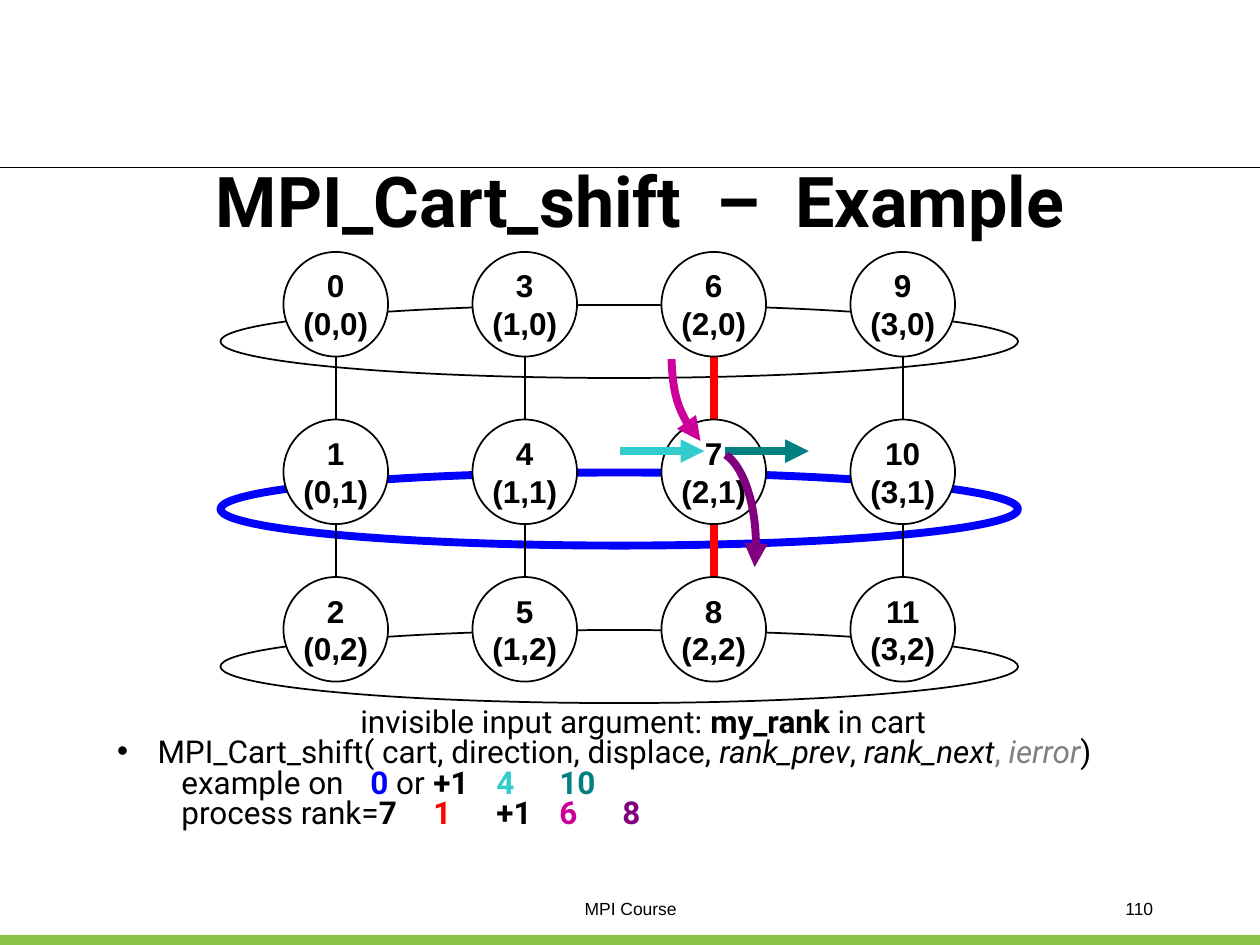
from lxml.etree import SubElement
from pptx import Presentation
from pptx.dml.color import RGBColor
from pptx.enum.shapes import MSO_CONNECTOR, MSO_SHAPE
from pptx.enum.text import MSO_ANCHOR, MSO_AUTO_SIZE, PP_ALIGN
from pptx.oxml.ns import qn
from pptx.util import Inches, Pt

BLACK = RGBColor(0x00, 0x00, 0x00)
WHITE = RGBColor(0xFF, 0xFF, 0xFF)
GREY = RGBColor(0x80, 0x80, 0x80)
GREEN = RGBColor(0x89, 0xC4, 0x48)
BLUE = RGBColor(0x00, 0x00, 0xFF)
RED = RGBColor(0xFF, 0x00, 0x00)
AQUA = RGBColor(0x33, 0xCC, 0xCC)
TEAL = RGBColor(0x00, 0x80, 0x80)
PINK = RGBColor(0xCC, 0x00, 0x99)
PURPLE = RGBColor(0x80, 0x00, 0x80)

THIN, THICK = 1, 4.5
NODE_SIZE = 0.83
COLUMN_STEP = 1.5
ROW_OFFSETS = (0, 1.33, 2.58)
COLUMN_COUNT = 4
SHIFTED_COLUMN, SHIFTED_ROW = 2, 1


def style_run(run, size, font="Roboto", color=BLACK, bold=False, italic=False):
    run.font.size = Pt(size)
    run.font.name = font
    run.font.color.rgb = color
    run.font.bold = bold
    run.font.italic = italic


def style_line(line, color, width, arrow=False):
    line.color.rgb = color
    line.width = Pt(width)
    if arrow:
        SubElement(line._get_or_add_ln(), qn("a:tailEnd"), type="triangle")


def place(shape, left, top, width, height):
    shape.left, shape.top = Inches(left), Inches(top)
    shape.width, shape.height = Inches(width), Inches(height)


def add_line(slide, x1, y1, x2, y2, color, width, arrow=False):
    line = slide.shapes.add_connector(
        MSO_CONNECTOR.STRAIGHT, Inches(x1), Inches(y1), Inches(x2), Inches(y2))
    style_line(line.line, color, width, arrow)
    SubElement(line._element.spPr, qn("a:effectLst"))


def add_ellipse(slide, left, top, width, height, color, line_width):
    ellipse = slide.shapes.add_shape(
        MSO_SHAPE.OVAL, Inches(left), Inches(top), Inches(width), Inches(height))
    ellipse.shadow.inherit = False
    ellipse.fill.background()
    style_line(ellipse.line, color, line_width)
    return ellipse


def add_curved_arrow(slide, points, color):
    """Draw a start point followed by Bezier triples, with a head at the end."""
    corners = [(Inches(x), Inches(y)) for x, y in points]
    builder = slide.shapes.build_freeform(*corners[0], scale=1.0)
    builder.add_line_segments(corners[1:], close=False)
    arrow = builder.convert_to_shape()
    outline = arrow._element.find(".//" + qn("a:path"))
    segments = outline.findall(qn("a:lnTo"))
    for first in range(0, len(segments), 3):
        curve = SubElement(outline, qn("a:cubicBezTo"))
        for segment in segments[first:first + 3]:
            curve.append(segment[0])
            outline.remove(segment)
    arrow.shadow.inherit = False
    arrow.fill.background()
    style_line(arrow.line, color, THICK, arrow=True)


def add_frame(slide, width, height):
    # Rule under the header and bar at the foot
    add_line(slide, 0, 1.33, width, 1.33, BLACK, 0.75)
    bar = slide.shapes.add_shape(
        MSO_SHAPE.RECTANGLE, 0, Inches(height - 0.08), Inches(width), Inches(0.08))
    bar.shadow.inherit = False
    bar.fill.solid()
    bar.fill.fore_color.rgb = GREEN
    bar.line.fill.background()

    # Course name and page number
    for text, left, box_width, alignment in (
            ("MPI Course", 3.17, 3.67, PP_ALIGN.CENTER),
            ("110", 7.17, 2.08, PP_ALIGN.RIGHT)):
        footer = slide.shapes.add_textbox(
            Inches(left), Inches(7.08), Inches(box_width), Inches(0.25))
        footer.text_frame.word_wrap = True
        paragraph = footer.text_frame.paragraphs[0]
        paragraph.text = text
        paragraph.alignment = alignment
        style_run(paragraph.runs[0], 10, "Arial")


def add_title(slide, left, top, width, height):
    title = slide.shapes.title
    place(title, left, top, width, height)
    title.text_frame.text = "MPI_Cart_shift  –  Example"
    title.text_frame.auto_size = MSO_AUTO_SIZE.NONE
    title.text_frame.vertical_anchor = MSO_ANCHOR.MIDDLE
    paragraph = title.text_frame.paragraphs[0]
    paragraph.alignment = PP_ALIGN.CENTER
    style_run(paragraph.runs[0], 40, bold=True)


def add_process_grid(slide, left, top):
    # Rings that close each row; the middle one is the shift in direction 0
    for row in (1, 0, 2):
        color, width = (BLUE, THICK) if row == SHIFTED_ROW else (BLACK, THIN)
        add_ellipse(slide, left - 0.5, top + ROW_OFFSETS[row] + 0.42,
                    6.33, 0.58, color, width)

    # Column links; the red one is the shift in direction 1
    for column in range(COLUMN_COUNT):
        x = left + column * COLUMN_STEP + NODE_SIZE / 2
        color, width = (RED, THICK) if column == SHIFTED_COLUMN else (BLACK, THIN)
        add_line(slide, x, top + NODE_SIZE, x, top + ROW_OFFSETS[-1], color, width)

    # Processes with rank and coordinates
    for row, offset in enumerate(ROW_OFFSETS):
        for column in range(COLUMN_COUNT):
            process = add_ellipse(slide, left + column * COLUMN_STEP, top + offset,
                                  NODE_SIZE, NODE_SIZE, BLACK, THIN)
            process.fill.solid()
            process.fill.fore_color.rgb = WHITE
            frame = process.text_frame
            frame.margin_left = frame.margin_right = 0
            frame.margin_top = frame.margin_bottom = 0
            frame.word_wrap = False
            frame.vertical_anchor = MSO_ANCHOR.MIDDLE
            rank = column * len(ROW_OFFSETS) + row
            frame.text = f"{rank}\n({column},{row})"
            for paragraph in frame.paragraphs:
                paragraph.alignment = PP_ALIGN.CENTER
                style_run(paragraph.runs[0], 18, "Arial", bold=True)


def add_shift_arrows(slide, x, y):
    # Along direction 0, out of and into process 7
    add_line(slide, x + 0.08, y, x + 0.75, y, TEAL, THICK, arrow=True)
    add_line(slide, x - 0.75, y, x - 0.08, y, AQUA, THICK, arrow=True)
    # Along direction 1, into and out of process 7
    add_curved_arrow(slide, [(x - 0.34, y - 0.73), (x - 0.33, y - 0.45),
                             (x - 0.24, y - 0.2), (x - 0.11, y - 0.08)], PINK)
    add_curved_arrow(slide, [(x + 0.09, y + 0.03), (x + 0.23, y + 0.12),
                             (x + 0.33, y + 0.42), (x + 0.33, y + 0.75),
                             (x + 0.33, y + 0.81), (x + 0.33, y + 0.86),
                             (x + 0.32, y + 0.92)], PURPLE)


def add_call_text(slide, left, top, width, height):
    bold, italic = {"bold": True}, {"italic": True}

    def result(color):
        return {"bold": True, "color": color}

    # Left margin, bullet and runs of each line
    lines = (
        (1.93, False, (("invisible input argument: ", {}), ("my_rank", bold),
                       (" in cart", {}))),
        (0.32, True, (("MPI_Cart_shift( cart, direction, displace, ", {}),
                      ("rank_prev", italic), (", ", {}), ("rank_next", italic),
                      (", ", {"color": GREY}),
                      ("ierror", {"color": GREY, "italic": True}), (")", {}))),
        (0.51, False, (("example on\t", {}), ("0", result(BLUE)), (" or\t", {}),
                       ("+1\t", bold), ("4\t", result(AQUA)), ("10", result(TEAL)))),
        (0.51, False, (("process rank=", {}), ("7\t", bold), ("1\t", result(RED)),
                       ("+1\t", bold), ("6\t", result(PINK)), ("8", result(PURPLE)))),
    )
    tab_stops = ((3.13, "l"), (4.27, "l"), (5.83, "l"), (7.22, "ctr"))

    body = slide.placeholders[1]
    place(body, left, top, width, height)
    frame = body.text_frame
    frame.auto_size = MSO_AUTO_SIZE.NONE
    for index, (margin, bulleted, runs) in enumerate(lines):
        paragraph = frame.add_paragraph() if index else frame.paragraphs[0]
        paragraph.line_spacing = 0.8
        paragraph.space_before = Pt(0)
        properties = paragraph._p.get_or_add_pPr()
        properties.set("marL", str(Inches(margin)))
        properties.set("indent", str(Inches(-margin if bulleted else 0)))
        if bulleted:
            SubElement(properties, qn("a:buChar"), char="•")
        else:
            SubElement(properties, qn("a:buNone"))
        tabs = SubElement(properties, qn("a:tabLst"))
        for position, alignment in tab_stops:
            SubElement(tabs, qn("a:tab"), pos=str(Inches(position)), algn=alignment)
        for text, style in runs:
            run = paragraph.add_run()
            run.text = text
            style_run(run, 18, **style)


def main():
    presentation = Presentation()
    presentation.slide_width, presentation.slide_height = Inches(10), Inches(7.5)
    slide = presentation.slides.add_slide(presentation.slide_layouts[1])
    add_frame(slide, 10, 7.5)
    add_title(slide, 0.83, 1.33, 8.5, 0.5)
    add_process_grid(slide, 2.25, 2)
    add_shift_arrows(slide, 5.67, 3.58)
    add_call_text(slide, 0.83, 5.58, 8.68, 1.42)
    presentation.save("out.pptx")


if __name__ == "__main__":
    main()
